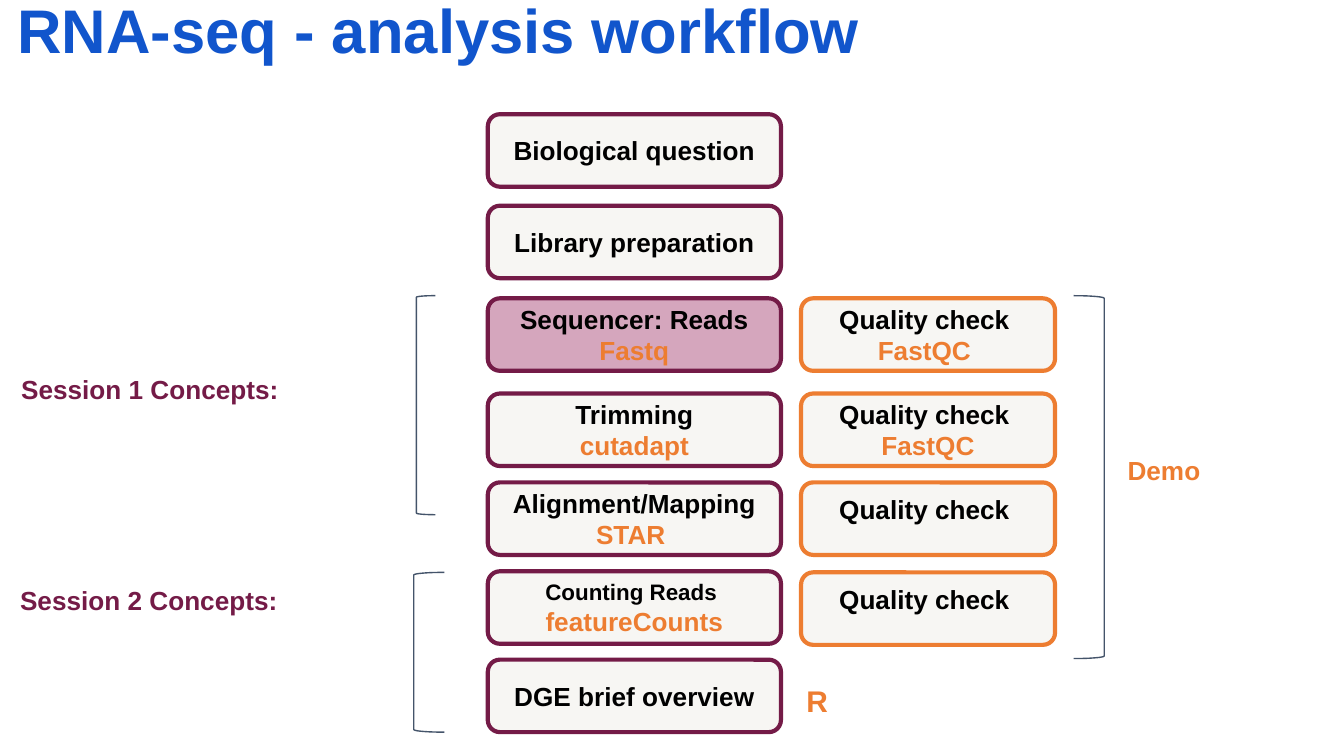
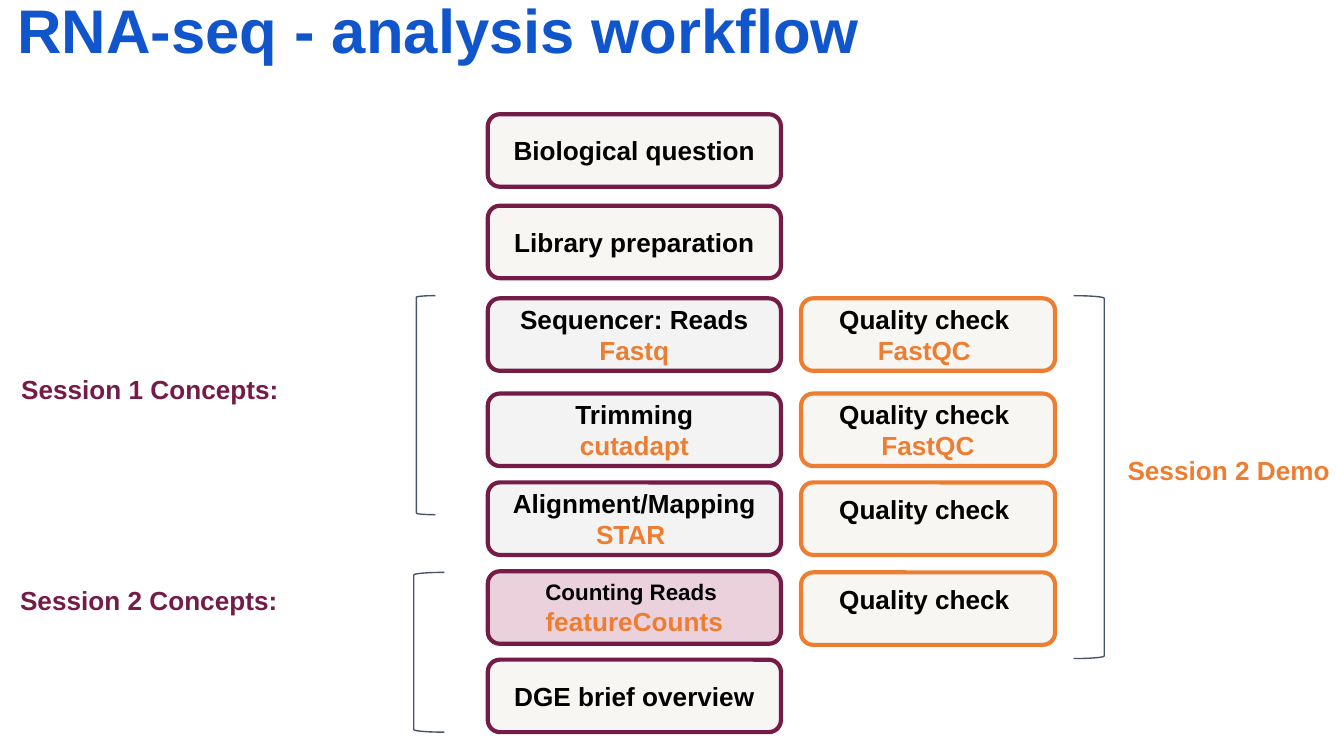
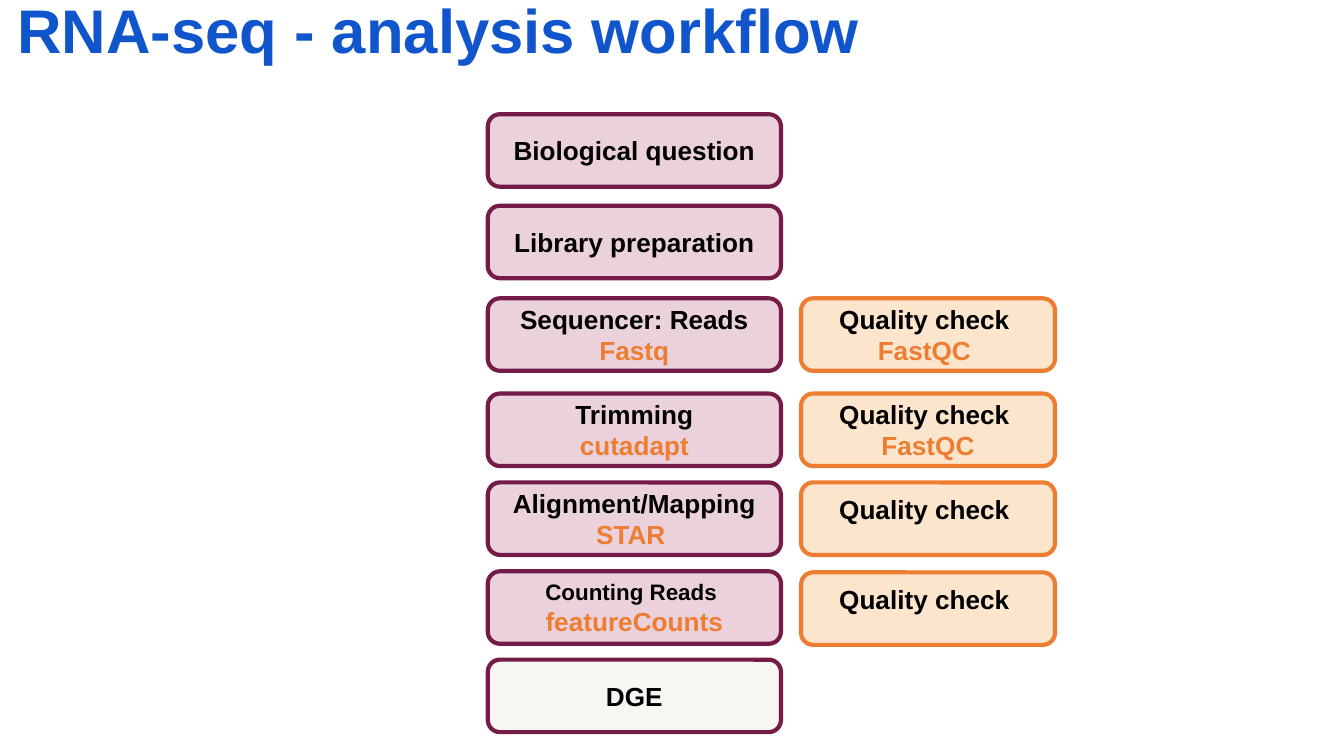
from pptx import Presentation
from pptx.dml.color import RGBColor
from pptx.enum.shapes import MSO_SHAPE
from pptx.enum.text import MSO_ANCHOR, MSO_AUTO_SIZE, PP_ALIGN
from pptx.util import Cm, Pt

ROUND_RECT = MSO_SHAPE.ROUNDED_RECTANGLE
LEFT_BRACKET, RIGHT_BRACKET = MSO_SHAPE.LEFT_BRACKET, MSO_SHAPE.RIGHT_BRACKET
TOP, MIDDLE = MSO_ANCHOR.TOP, MSO_ANCHOR.MIDDLE
LEFT, CENTER = PP_ALIGN.LEFT, PP_ALIGN.CENTER

FONT = "Arial"
BLUE = RGBColor(0x11, 0x55, 0xCC)
PLUM = RGBColor(0x74, 0x1B, 0x47)
ORANGE = RGBColor(0xED, 0x7D, 0x31)
SLATE = RGBColor(0x44, 0x54, 0x6A)
BLACK = RGBColor(0x00, 0x00, 0x00)
CREAM = RGBColor(0xF7, 0xF6, 0xF3)
GREY = RGBColor(0xF3, 0xF3, 0xF3)
ROSE = RGBColor(0xD5, 0xA6, 0xBD)
PINK = RGBColor(0xEA, 0xD1, 0xDC)
PEACH = RGBColor(0xFC, 0xE5, 0xCD)

# Content: each box is a list of paragraphs, each a list of (text, format) runs
TITLE = "RNA-seq - analysis workflow"
TOOL = {"color": ORANGE}
STEPS = {
    "question": (2.16, [[("Biological question", {})]]),
    "library": (3.89, [[("Library preparation", {})]]),
    "reads": (5.64, [[("Sequencer: Reads ", {}), ("Fastq", TOOL)]]),
    "trimming": (7.44, [[("Trimming", {})], [("cutadapt", TOOL)]]),
    "alignment": (9.12, [[("Alignment/Mapping", {})], [("STAR ", TOOL)]]),
    "counting": (10.8, [[("Counting Reads ", {"size": 12})],
                        [("featureCounts", TOOL)]]),
    "dge": (12.47, [[("DGE brief overview", {})]]),
}
CHECKS = [(5.64, "FastQC "), (7.44, "FastQC"), (9.12, None), (10.82, None)]

# Session labels (text, left, top, width, height) and brackets
LABELS = [("Session 1 Concepts:", 0.15, 6.81, 8.69, 1.12),
          ("Session 2 Concepts:", 0.13, 10.8, 8.69, 1.7)]
BRACKETS = [(LEFT_BRACKET, 7.87, 5.59, 0.36, 4.14),
            (LEFT_BRACKET, 7.82, 10.82, 0.58, 3.02),
            (RIGHT_BRACKET, 20.29, 5.59, 0.58, 6.86)]
DEMO_AREA = (21.06, 8.33, 4.36, 1.7)
R_AREA = (14.99, 12.65, 1.57, 0.58)

SLIDES = [
    {"fills": {"reads": ROSE}, "demo": "Demo", "r_label": "R"},
    {"fills": {"reads": GREY, "trimming": GREY, "alignment": GREY,
               "counting": PINK}, "demo": "Session 2 Demo"},
    {"fills": {name: PINK for name in STEPS if name != "dge"},
     "check_fill": PEACH, "dge": [[("DGE", {})]]},
]

STEP_LEFT, STEP_W = 9.22, 5.54
CHECK_LEFT, CHECK_W = 15.14, 4.8
BOX_H = 1.37
INSET = 0.25


def put_text(shape, text, size=14, color=BLACK, align=LEFT, anchor=TOP,
             inset=INSET, top_inset=None, spacing=None):
    """Fill a shape with a string or with a list of paragraphs of runs."""
    tf = shape.text_frame
    tf.word_wrap = True
    tf.auto_size = MSO_AUTO_SIZE.NONE
    tf.vertical_anchor = anchor
    tf.margin_left = tf.margin_right = tf.margin_bottom = Cm(inset)
    tf.margin_top = Cm(inset if top_inset is None else top_inset)
    paragraphs = [[(text, {})]] if isinstance(text, str) else text
    for i, runs in enumerate(paragraphs):
        p = tf.add_paragraph() if i else tf.paragraphs[0]
        p.alignment = align
        if spacing:
            p.line_spacing = spacing
        for content, style in runs:
            r = p.add_run()
            r.text = content
            r.font.name = FONT
            r.font.bold = True
            r.font.size = Pt(style.get("size", size))
            r.font.color.rgb = style.get("color", color)


def add_label(s, text, area, **style):
    put_text(s.shapes.add_textbox(*map(Cm, area)), text, **style)


def add_outline(s, kind, area, adjust, line, width, fill=None):
    sp = s.shapes.add_shape(kind, *map(Cm, area))
    sp.shadow.inherit = False
    sp.adjustments[0] = adjust
    sp.line.color.rgb = line
    sp.line.width = Pt(width)
    if fill is None:
        sp.fill.background()
    else:
        sp.fill.solid()
        sp.fill.fore_color.rgb = fill
    return sp


def add_box(s, left, top, width, line, fill, text, **style):
    sp = add_outline(s, ROUND_RECT, (left, top, width, BOX_H), 0.167,
                     line, 2.25, fill)
    put_text(sp, text, align=CENTER, **style)


def add_title(s):
    title = s.shapes.title
    title.left, title.top, title.width, title.height = map(
        Cm, (0.33, 0, 21.89, 2.06))
    put_text(title, TITLE, size=33, color=BLUE, inset=0, spacing=0.9)


def add_workflow(s, spec_):
    # Main steps
    for name, (top, text) in STEPS.items():
        add_box(s, STEP_LEFT, top, STEP_W, PLUM,
                spec_["fills"].get(name, CREAM), spec_.get(name, text),
                anchor=MIDDLE)
    # Quality checks; without a tool the heading keeps its upper place
    for top, tool in CHECKS:
        text = [[("Quality check ", {})]]
        place = {"anchor": TOP, "top_inset": 0.14}
        if tool:
            text.append([(tool, TOOL)])
            place = {"anchor": MIDDLE}
        add_box(s, CHECK_LEFT, top, CHECK_W, ORANGE,
                spec_.get("check_fill", CREAM), text, **place)


def add_sessions(s, demo):
    for text, *area in LABELS:
        add_label(s, text, area, color=PLUM)
    for kind, *area in BRACKETS:
        add_outline(s, kind, area, 0.083, SLATE, 0.75)
    add_label(s, demo, DEMO_AREA, color=ORANGE)


def main():
    prs = Presentation()
    prs.slide_width, prs.slide_height = Cm(25.4), Cm(14.29)
    for content in SLIDES:
        s = prs.slides.add_slide(prs.slide_layouts[5])
        add_title(s)
        add_workflow(s, content)
        if "demo" in content:
            add_sessions(s, content["demo"])
        if "r_label" in content:
            add_label(s, content["r_label"], R_AREA, size=16, color=ORANGE)
    prs.save("out.pptx")


if __name__ == "__main__":
    main()
